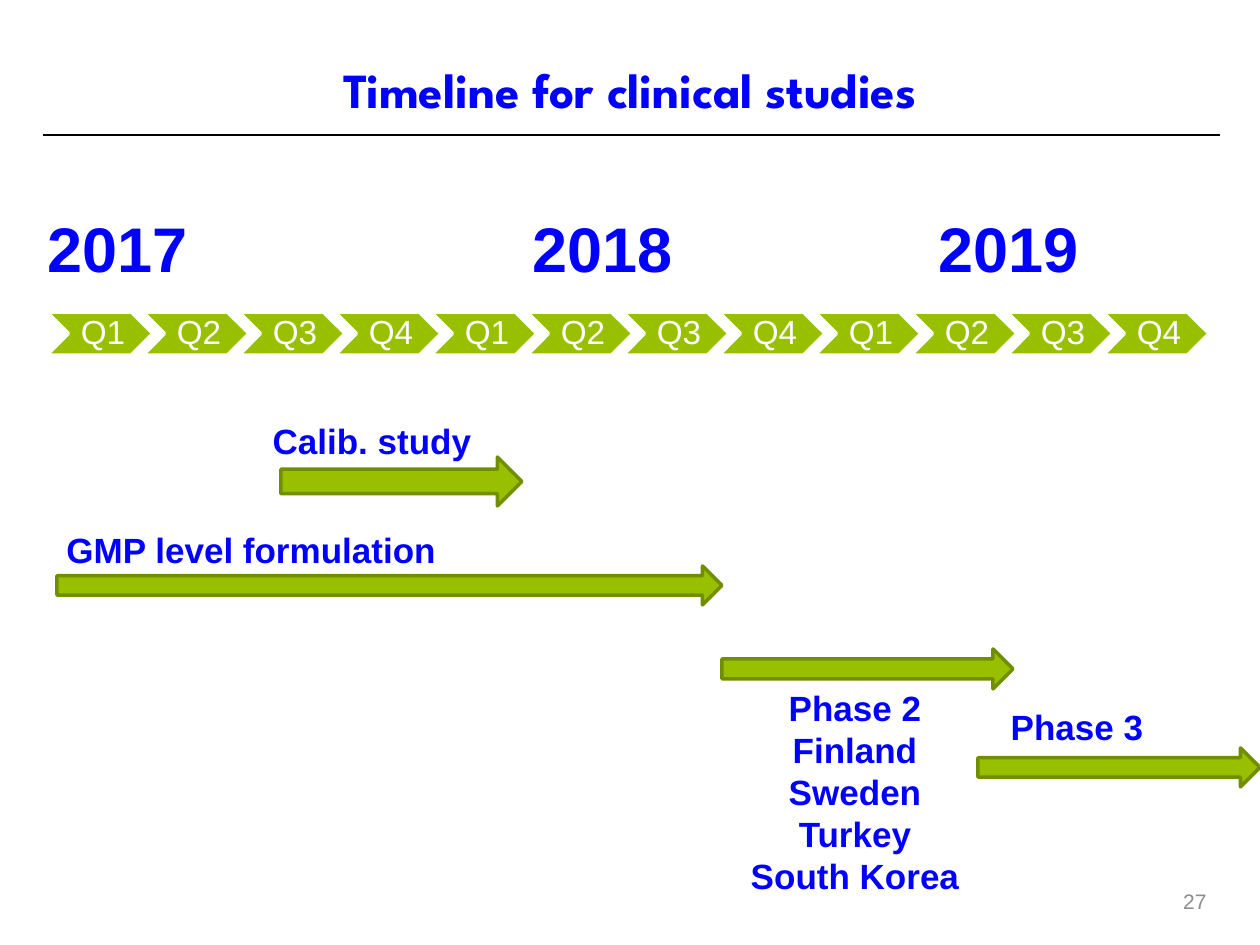
from pptx import Presentation
from pptx.dml.color import RGBColor
from pptx.enum.shapes import MSO_CONNECTOR, MSO_SHAPE
from pptx.enum.text import MSO_ANCHOR, PP_ALIGN
from pptx.oxml.ns import qn
from pptx.util import Emu, Pt
from lxml.etree import SubElement

PX_PER_INCH = 126
BLACK = RGBColor(0x00, 0x00, 0x00)
WHITE = RGBColor(0xFF, 0xFF, 0xFF)
GRAY = RGBColor(0x8C, 0x8C, 0x8C)
BLUE = RGBColor(0x00, 0x00, 0xFF)
GREEN = RGBColor(0x98, 0xC0, 0x00)
DARK_GREEN = RGBColor(0x70, 0x8E, 0x00)

YEARS = [("2017", 35), ("2018", 520), ("2019", 926)]
QUARTERS = ["Q1", "Q2", "Q3", "Q4"]
QUARTER_LEFT, QUARTER_STEP = 47, 96

# Left, top, width and height of each study's bar
STUDY_BARS = [
    (281, 457, 241, 49),
    (57, 566, 665, 39),
    (722, 649, 291, 40),
    (978, 748, 282, 39),
]
STUDY_LABELS = [
    (["Calib. study"], (239, 413, 266, 55), PP_ALIGN.CENTER),
    (["GMP level formulation"], (54, 522, 561, 55), PP_ALIGN.LEFT),
    (["Phase 2", "Finland", "Sweden", "Turkey", "South Korea"],
     (722, 680, 266, 224), PP_ALIGN.CENTER),
    (["Phase 3"], (978, 699, 198, 55), PP_ALIGN.CENTER),
]


def px(n):
    return Emu(round(n * 914400 / PX_PER_INCH))


def style_paragraph(p, size, color, bold=False, font="Arial", align=PP_ALIGN.LEFT):
    p.alignment = align
    p.font.name = font
    p.font.size = Pt(size)
    p.font.bold = bold
    p.font.color.rgb = color


def add_text(slide, lines, box, size, color=BLUE, anchor=MSO_ANCHOR.TOP, **style):
    tf = slide.shapes.add_textbox(*map(px, box)).text_frame
    tf.word_wrap = True
    tf.vertical_anchor = anchor
    tf.text = "\n".join(lines)
    for p in tf.paragraphs:
        style_paragraph(p, size, color, **style)


def add_solid(slide, kind, box, line_color):
    sp = slide.shapes.add_shape(kind, *map(px, box))
    sp.shadow.inherit = False
    sp.fill.solid()
    sp.fill.fore_color.rgb = GREEN
    sp.line.color.rgb = line_color
    sp.line.width = Pt(2)
    return sp


def add_quarter(slide, label, left):
    sp = add_solid(slide, MSO_SHAPE.CHEVRON, (left, 312, 106, 43), WHITE)
    tf = sp.text_frame
    tf.word_wrap = False
    tf.vertical_anchor = MSO_ANCHOR.MIDDLE
    tf.margin_left = px(10)
    tf.margin_top = tf.margin_right = tf.margin_bottom = px(4)
    p = tf.paragraphs[0]
    p.text = label
    p.line_spacing = 0.9
    style_paragraph(p, 19, WHITE, align=PP_ALIGN.CENTER)


def add_rule(slide, left, right, y):
    line = slide.shapes.add_connector(
        MSO_CONNECTOR.STRAIGHT, px(left), px(y), px(right), px(y))
    line.line.color.rgb = BLACK
    line.line.width = Pt(1)
    SubElement(line._element.spPr, qn("a:effectLst"))


def main():
    prs = Presentation()
    prs.slide_width, prs.slide_height = px(1260), px(945)
    slide = prs.slides.add_slide(prs.slide_layouts[6])

    add_rule(slide, 43, 1220, 135)
    add_text(slide, ["27"], (903, 876, 316, 50), 12, GRAY,
             anchor=MSO_ANCHOR.MIDDLE, align=PP_ALIGN.RIGHT)
    add_text(slide, ["Timeline for clinical studies"], (0, 53, 1260, 72), 28,
             anchor=MSO_ANCHOR.MIDDLE, bold=True, font="League Spartan",
             align=PP_ALIGN.CENTER)

    for i, label in enumerate(QUARTERS * len(YEARS)):
        add_quarter(slide, label, QUARTER_LEFT + i * QUARTER_STEP)
    for year, left in YEARS:
        add_text(slide, [year], (left, 203, 169, 89), 36, bold=True)

    for bar in STUDY_BARS:
        add_solid(slide, MSO_SHAPE.RIGHT_ARROW, bar, DARK_GREEN)
    for lines, box, align in STUDY_LABELS:
        add_text(slide, lines, box, 20, bold=True, align=align)

    prs.save("out.pptx")


if __name__ == "__main__":
    main()
